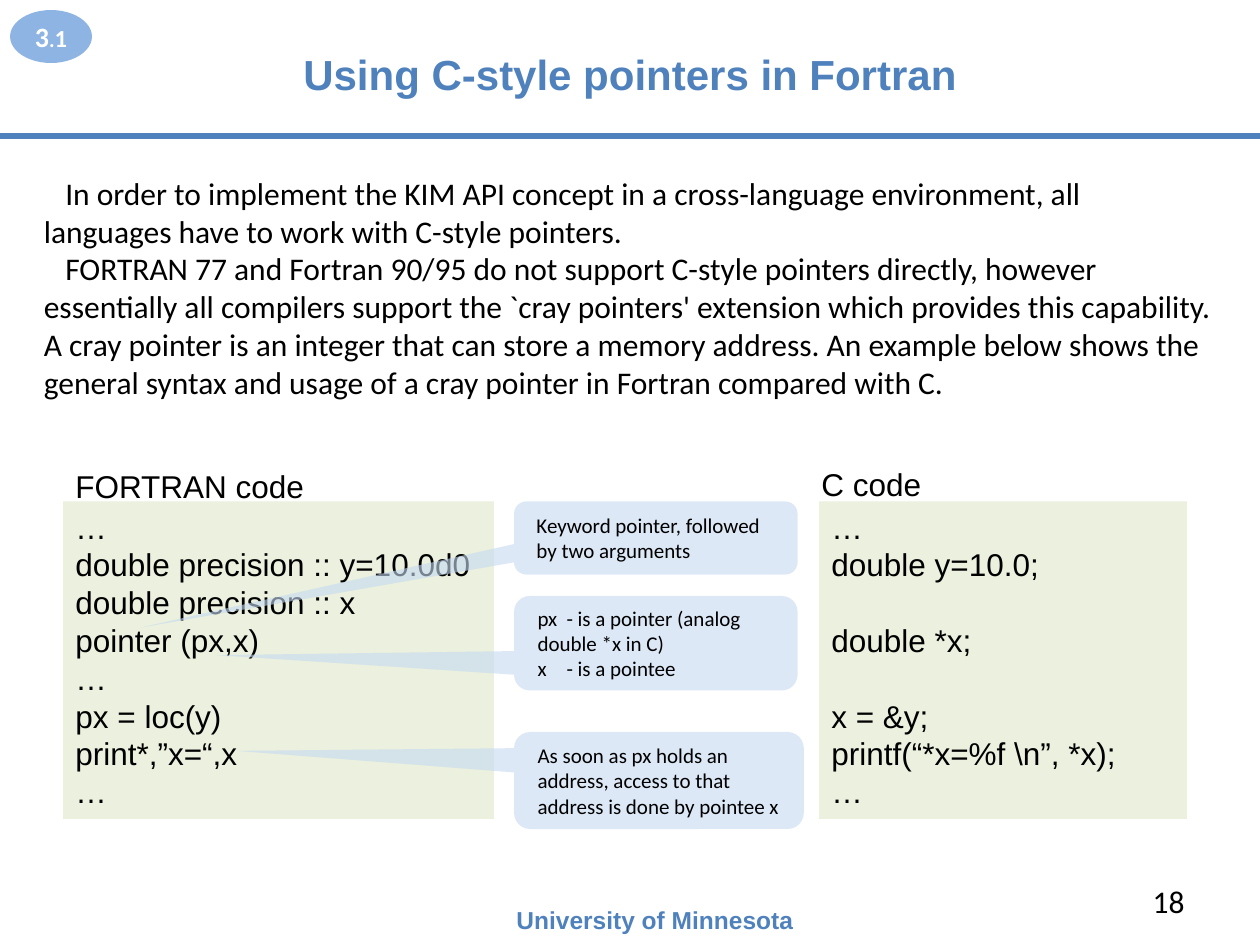
from lxml import etree
from pptx import Presentation
from pptx import util as u
from pptx.dml.color import RGBColor
from pptx.enum import shapes, text
from pptx.oxml.ns import qn

COLORS = {"blue": "4F81BD", "badge": "8EB4E3", "code": "EBF1DE",
          "callout": "C6D9F1", "black": "000000", "white": "FFFFFF"}
LINE_PITCH = 21.6
CALLOUT_LEFT, CALLOUT_ALPHA = 4.08, 60
CODE_TOP, CODE_HEIGHT = 3.98, 2.52

TITLE = "Using C-style pointers in Fortran"
BADGE = [("3", 16), (".", 12), ("1", 14)]
BODY = [
    "In order to implement the KIM API concept in a cross-language environment, all "
    "languages have to work with C-style pointers.",
    "FORTRAN 77 and Fortran 90/95 do not support C-style pointers directly, however "
    "essentially all compilers support the `cray pointers' extension which provides "
    "this capability. A cray pointer is an integer that can store a memory address. "
    "An example below shows the general syntax and usage of a cray pointer in Fortran "
    "compared with C.",
]
LISTINGS = [
    {"heading": "FORTRAN code", "heading_at": (0.5, 3.66), "left": 0.5, "width": 3.42,
     "lines": ["…", "double precision :: y=10.0d0", "double precision :: x",
               "pointer (px,x)", "…", "px = loc(y)", "print*,”x=“,x", "…"],
     "gaps": ()},
    {"heading": "C code", "heading_at": (6.42, 3.64), "left": 6.5, "width": 2.92,
     "lines": ["…", "double y=10.0;", "double *x;", "x = &y;",
               "printf(“*x=%f \\n”, *x);", "…"],
     "gaps": (2, 3)},
]
CALLOUTS = [
    {"top": 3.98, "size": (2.25, 0.58), "tip": (1.12, 4.98),
     "lines": ["Keyword pointer, followed by two arguments"]},
    {"top": 4.73, "size": (2.25, 0.75), "tip": (1.72, 5.2),
     "lines": ["px\t- is a pointer (analog double *x in C)", "x\t- is a pointee"]},
    {"top": 5.81, "size": (2.3, 0.77), "tip": (1.88, 5.96),
     "lines": ["As soon as px holds an address, access to that address is done by pointee x"]},
]


def rgb(name):
    return RGBColor.from_string(COLORS[name])


def write(shape, paragraphs, size=18, font="Arial", color="black", bold=False,
          align="LEFT", anchor="TOP", pitch=None, indent=None, tab=None, gaps=(),
          margins=(0.1, 0.05, 0.1, 0.05)):
    frame = shape.text_frame
    frame.word_wrap = True
    frame.vertical_anchor = getattr(text.MSO_ANCHOR, anchor)
    (frame.margin_left, frame.margin_top,
     frame.margin_right, frame.margin_bottom) = map(u.Inches, margins)
    for index, content in enumerate(paragraphs):
        paragraph = frame.add_paragraph() if index else frame.paragraphs[0]
        properties = paragraph._p.get_or_add_pPr()
        if indent:
            properties.set("indent", str(u.Inches(indent)))
        if tab and "\t" in content:
            stops = etree.SubElement(properties, qn("a:tabLst"))
            etree.SubElement(stops, qn("a:tab"), pos=str(u.Inches(tab)), algn="l")
        paragraph.alignment = getattr(text.PP_ALIGN, align)
        if pitch:
            paragraph.line_spacing = u.Pt(pitch)
        if index in gaps:
            paragraph.space_before = u.Pt(pitch)
        for words, points in [(content, size)] if isinstance(content, str) else content:
            run = paragraph.add_run()
            run.text = words
            run.font.size, run.font.name, run.font.bold = u.Pt(points), font, bold
            run.font.color.rgb = rgb(color)


def add_filled(slide, kind, box, color):
    shape = slide.shapes.add_shape(kind, *map(u.Inches, box))
    shape.shadow.inherit = False
    shape.fill.solid()
    shape.fill.fore_color.rgb = rgb(color)
    shape.line.fill.background()
    return shape


def add_label(slide, box, words, **style):
    write(slide.shapes.add_textbox(*map(u.Inches, box)), words, **style)


def add_callout(slide, top, size, tip, lines):
    width, height = size
    callout = add_filled(slide, shapes.MSO_SHAPE.ROUNDED_RECTANGULAR_CALLOUT,
                         (CALLOUT_LEFT, top, width, height), "callout")
    callout.adjustments[0] = (tip[0] - CALLOUT_LEFT) / width - 0.5
    callout.adjustments[1] = (tip[1] - top) / height - 0.5
    fill_color = callout._element.spPr.find(qn("a:solidFill"))[0]
    etree.SubElement(fill_color, qn("a:alpha"), val=str(CALLOUT_ALPHA * 1000))
    write(callout, lines, size=12, font="Calibri", anchor="MIDDLE", tab=0.23,
          margins=(0.15, 0, 0.1, 0))


def main():
    """Build the slide that compares pointers in Fortran and C."""
    deck = Presentation()
    deck.slide_width, deck.slide_height = u.Inches(10), u.Inches(7.5)
    slide = deck.slides.add_slide(deck.slide_layouts[5])

    title = slide.shapes.title
    title.left, title.top, title.width, title.height = map(u.Inches, (0.5, 0.25, 9, 0.67))
    write(title, [TITLE], size=24, color="blue", bold=True, align="CENTER", anchor="MIDDLE")

    badge = add_filled(slide, shapes.MSO_SHAPE.OVAL, (0.08, 0.08, 0.65, 0.42), "badge")
    write(badge, [BADGE], font="Calibri", color="white", bold=True, align="CENTER",
          anchor="MIDDLE", margins=(0, 0, 0, 0))

    rule = slide.shapes.add_connector(shapes.MSO_CONNECTOR.STRAIGHT,
                                      *map(u.Inches, (0, 1.08, 10, 1.08)))
    rule.line.color.rgb = rgb("blue")
    rule.line.width = u.Pt(3)
    etree.SubElement(rule._element.spPr, qn("a:effectLst"))

    add_label(slide, (4, 7.13, 2.67, 0.34), ["University of Minnesota"],
              size=14, color="blue", bold=True)
    add_label(slide, (7.17, 6.95, 2.33, 0.4), ["18"], font="Calibri", align="RIGHT",
              anchor="MIDDLE")
    add_label(slide, (0.25, 1.33, 9.5, 1.92), BODY, font="Calibri", pitch=LINE_PITCH,
              indent=0.17)

    for listing in LISTINGS:
        panel = add_filled(slide, shapes.MSO_SHAPE.RECTANGLE,
                           (listing["left"], CODE_TOP, listing["width"], CODE_HEIGHT), "code")
        write(panel, listing["lines"], pitch=LINE_PITCH, gaps=listing["gaps"])
    for callout in CALLOUTS:
        add_callout(slide, **callout)
    for listing in LISTINGS:
        add_label(slide, (*listing["heading_at"], 3.25, 0.4), [listing["heading"]])

    deck.save("out.pptx")


if __name__ == "__main__":
    main()
